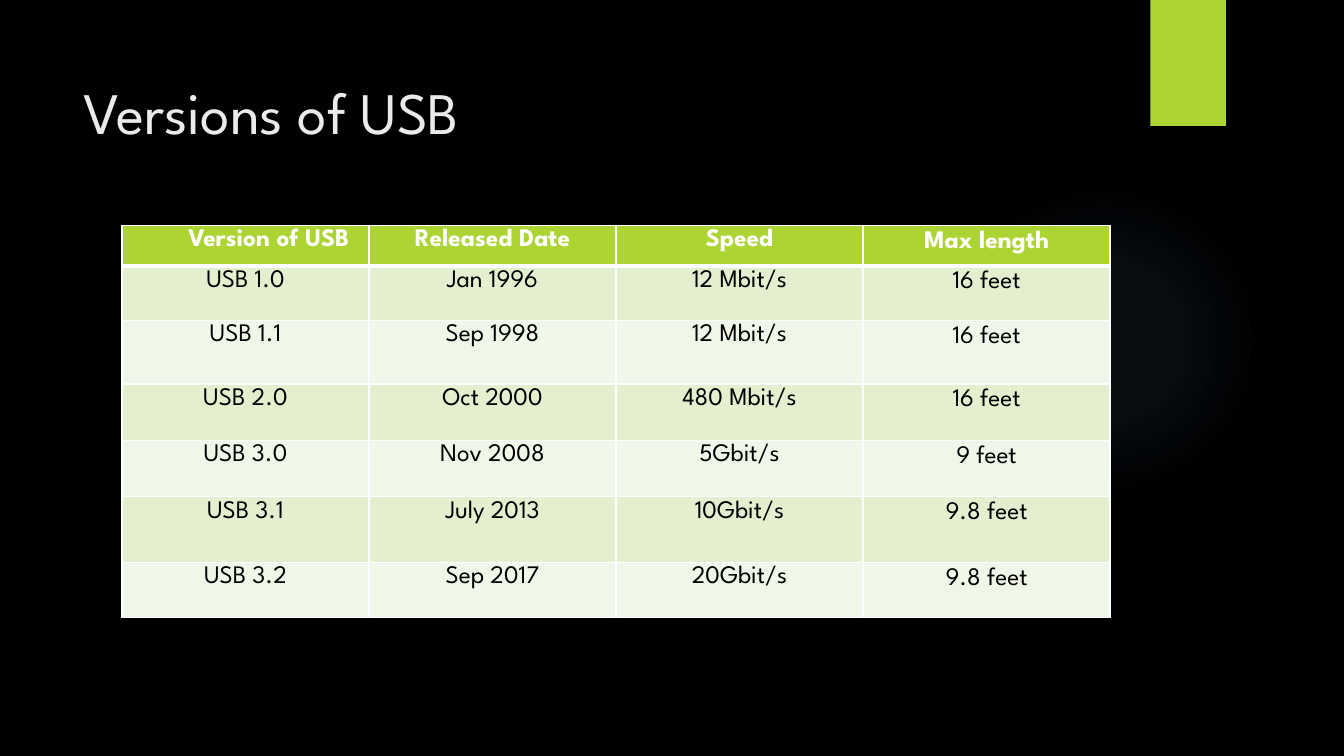
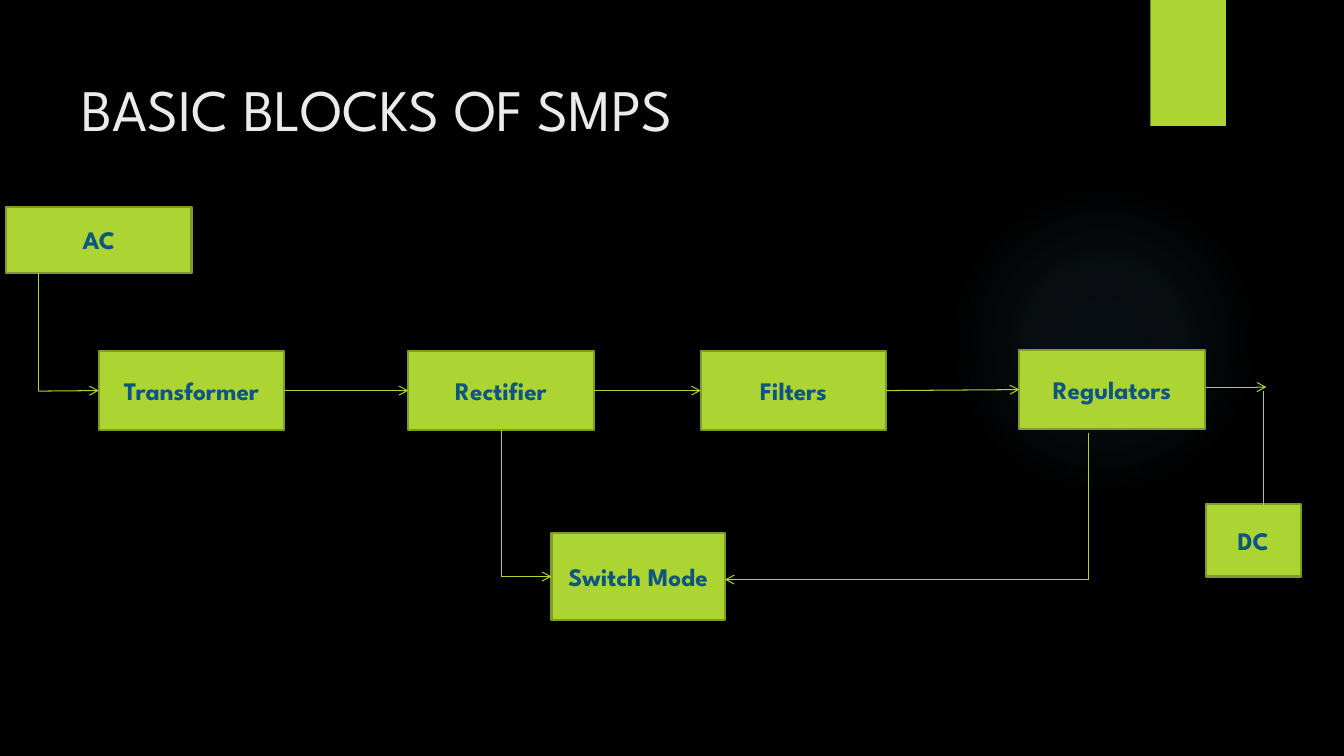
import pptx
import pptx.dml.color
import pptx.enum.shapes
import pptx.enum.text
import pptx.oxml
import pptx.oxml.ns
import pptx.oxml.xmlchemy
import pptx.util

Inches = pptx.util.Inches
Pt = pptx.util.Pt
RGBColor = pptx.dml.color.RGBColor
Shape = pptx.enum.shapes.MSO_SHAPE
Align = pptx.enum.text.PP_ALIGN
Anchor = pptx.enum.text.MSO_ANCHOR
qn = pptx.oxml.ns.qn

BLACK = RGBColor(0x00, 0x00, 0x00)
WHITE = RGBColor(0xFF, 0xFF, 0xFF)
TITLE_GRAY = RGBColor(0xEB, 0xEB, 0xEB)
LIME = RGBColor(0xAC, 0xD4, 0x33)
OLIVE = RGBColor(0x7F, 0x9D, 0x26)
NAVY = RGBColor(0x0E, 0x55, 0x80)
GLOW_BLUE = RGBColor(0x7A, 0xC4, 0xF0)
ROW_FILLS = (RGBColor(0xF1, 0xF7, 0xE8), RGBColor(0xE3, 0xEF, 0xCE))

FONT = "League Spartan"
DRAWING_NS = pptx.oxml.ns.nsdecls("a")
GLOW_STOPS = ((0, 7), (36, 6), (69, 0))  # position and opacity, percent

USB_VERSIONS = [
    ("Version of USB", "Released Date", "Speed", "Max length"),
    ("USB 1.0", "Jan 1996", "12 Mbit/s", "16 feet"),
    ("USB 1.1", "Sep 1998", "12 Mbit/s", "16 feet"),
    ("USB 2.0", "Oct 2000", "480 Mbit/s", "16 feet"),
    ("USB 3.0", "Nov 2008", "5Gbit/s", "9 feet"),
    ("USB 3.1", "July 2013", "10Gbit/s", "9.8 feet"),
    ("USB 3.2", "Sep 2017", "20Gbit/s", "9.8 feet"),
]
ROW_HEIGHTS = (0.4, 0.54, 0.63, 0.56, 0.56, 0.65, 0.55)


class Deck:
    """Holds the presentation, its shared style and the current slide."""

    def __init__(self):
        self.presentation = pptx.Presentation()
        self.presentation.slide_width = Inches(13.33)
        self.presentation.slide_height = Inches(7.5)
        self.layout = self.presentation.slide_layouts[5]
        background = self.presentation.slide_master.background.fill
        background.solid()
        background.fore_color.rgb = BLACK
        self.slide = None

    def start_slide(self, title, left, top):
        first = self.slide is None
        self.slide = self.presentation.slides.add_slide(self.layout)
        if first:
            self.decorate_layout()
        heading = self.slide.shapes.title
        heading.left, heading.top = Inches(left), Inches(top)
        heading.width, heading.height = Inches(10.29), Inches(1.53)
        frame = heading.text_frame
        frame.text = title
        frame.vertical_anchor = Anchor.TOP
        frame.margin_top = Inches(0.22)
        self.style(frame.paragraphs[0], 42, TITLE_GRAY, align=Align.LEFT)

    def decorate_layout(self):
        """Draw the glow and the band, then move them behind the layout's parts."""
        glow = self.shape(Shape.OVAL, 9.41, 1.83, 3.08, 3.08, GLOW_BLUE)
        stops = "".join(
            f'<a:gs pos="{position * 1000}"><a:srgbClr val="{GLOW_BLUE}">'
            f'<a:alpha val="{opacity * 1000}"/></a:srgbClr></a:gs>'
            for position, opacity in GLOW_STOPS)
        gradient = pptx.oxml.parse_xml(
            f'<a:gradFill {DRAWING_NS} rotWithShape="1"><a:gsLst>{stops}</a:gsLst>'
            '<a:path path="circle"><a:fillToRect l="50000" t="50000" r="50000" '
            'b="50000"/></a:path></a:gradFill>')
        properties = glow.element.spPr
        properties.replace(properties.find(qn("a:solidFill")), gradient)
        band = self.shape(Shape.RECTANGLE, 11.41, 0, 0.75, 1.25, LIME)
        for index, decoration in enumerate((glow, band), start=2):
            self.layout.shapes.element.insert(index, decoration.element)

    def style(self, paragraph, size, color, bold=False, align=Align.CENTER):
        paragraph.alignment = align
        font = paragraph.font
        font.name, font.size, font.bold = FONT, Pt(size), bold
        font.color.rgb = color

    def shape(self, kind, left, top, width, height, fill):
        shape = self.slide.shapes.add_shape(
            kind, Inches(left), Inches(top), Inches(width), Inches(height))
        shape.shadow.inherit = False
        shape.fill.solid()
        shape.fill.fore_color.rgb = fill
        shape.line.fill.background()
        return shape

    def block(self, label, left, top, width=1.84, height=0.79):
        block = self.shape(Shape.RECTANGLE, left, top, width, height, LIME)
        block.line.color.rgb = OLIVE
        block.line.width = Pt(1.5)
        frame = block.text_frame
        frame.text = label
        frame.word_wrap = True
        frame.vertical_anchor = Anchor.MIDDLE
        self.style(frame.paragraphs[0], 18, NAVY, bold=True)
        return block

    def wire(self, start, end, arrow=True, start_at=None, end_at=None):
        """Draw a line between points; start_at and end_at are (block, side) joints."""
        wire = self.slide.shapes.add_connector(
            pptx.enum.shapes.MSO_CONNECTOR.STRAIGHT,
            *(Inches(value) for value in (*start, *end)))
        if start_at:
            wire.begin_connect(*start_at)
        if end_at:
            wire.end_connect(*end_at)
        wire.line.color.rgb = LIME
        wire.line.width = Pt(0.75)
        properties = wire.element.spPr
        if arrow:
            properties.find(qn("a:ln")).append(
                pptx.oxml.parse_xml(f'<a:tailEnd {DRAWING_NS} type="arrow"/>'))
        properties.append(pptx.oxml.parse_xml(f"<a:effectLst {DRAWING_NS}/>"))

    def table(self, rows, heights, left, top, column_width):
        columns = len(rows[0])
        table = self.slide.shapes.add_table(
            len(rows), columns, Inches(left), Inches(top),
            Inches(column_width * columns), Inches(sum(heights))).table
        for column in table.columns:
            column.width = Inches(column_width)
        for r, (values, height) in enumerate(zip(rows, heights)):
            table.rows[r].height = Inches(height)
            for c, value in enumerate(values):
                self.cell(table.cell(r, c), value, r, last=c == columns - 1)
        return table

    def cell(self, cell, value, row, last):
        header = row == 0
        cell.text = value
        paragraph = cell.text_frame.paragraphs[0]
        if not last:
            cell.margin_left = cell.margin_right = Inches(0.07)
            cell.margin_top = cell.margin_bottom = 0
            paragraph.line_spacing = 1.15
        self.style(paragraph, 18, WHITE if header else BLACK, bold=header)
        widths = {"L": 1, "R": 1, "T": 3 if row == 1 else 1, "B": 3 if header else 1}
        for side, width in widths.items():
            cell._tc.get_or_add_tcPr().append(pptx.oxml.parse_xml(
                f'<a:ln{side} {DRAWING_NS} w="{Pt(width)}"><a:solidFill>'
                f'<a:srgbClr val="{WHITE}"/></a:solidFill></a:ln{side}>'))
        cell.fill.solid()
        cell.fill.fore_color.rgb = LIME if header else ROW_FILLS[row % 2]


def usb_versions(deck):
    deck.start_slide("Versions of USB", 0.73, 0.53)
    versions = deck.table(USB_VERSIONS, ROW_HEIGHTS, 1.21, 2.24, 2.45)
    versions.cell(0, 0).margin_left = Inches(0.53)


def smps_blocks(deck):
    deck.start_slide("BASIC BLOCKS OF SMPS", 0.71, 0.5)
    top, left, bottom, right = range(4)
    transformer = deck.block("Transformer", 0.98, 3.48)
    rectifier = deck.block("Rectifier", 4.05, 3.48)
    filters = deck.block("Filters", 6.95, 3.48)
    regulators = deck.block("Regulators", 10.11, 3.47)
    switch_mode = deck.block("Switch Mode", 5.47, 5.29, 1.72, 0.86)
    deck.block("AC", 0.06, 2.05, height=0.66)
    deck.block("DC", 11.96, 5, 0.94, 0.72)

    stages = (transformer, rectifier, filters, regulators)
    for source, target in zip(stages, stages[1:]):
        deck.wire((0, 0), (0, 0), start_at=(source, right), end_at=(target, left))

    deck.wire((0.38, 2.71), (0.38, 3.88), arrow=False)
    deck.wire((0.38, 3.88), (0.98, 3.88), end_at=(transformer, left))
    deck.wire((4.97, 4.27), (4.97, 5.72), arrow=False, start_at=(rectifier, bottom))
    deck.wire((4.97, 5.72), (5.47, 5.72), end_at=(switch_mode, left))
    deck.wire((10.8, 4.3), (10.8, 5.75), arrow=False)
    deck.wire((10.8, 5.75), (7.19, 5.75))
    deck.wire((11.96, 3.84), (12.56, 3.84))
    deck.wire((12.53, 3.88), (12.53, 5.03), arrow=False)


def main():
    deck = Deck()
    usb_versions(deck)
    smps_blocks(deck)
    deck.presentation.save("out.pptx")


if __name__ == "__main__":
    main()
